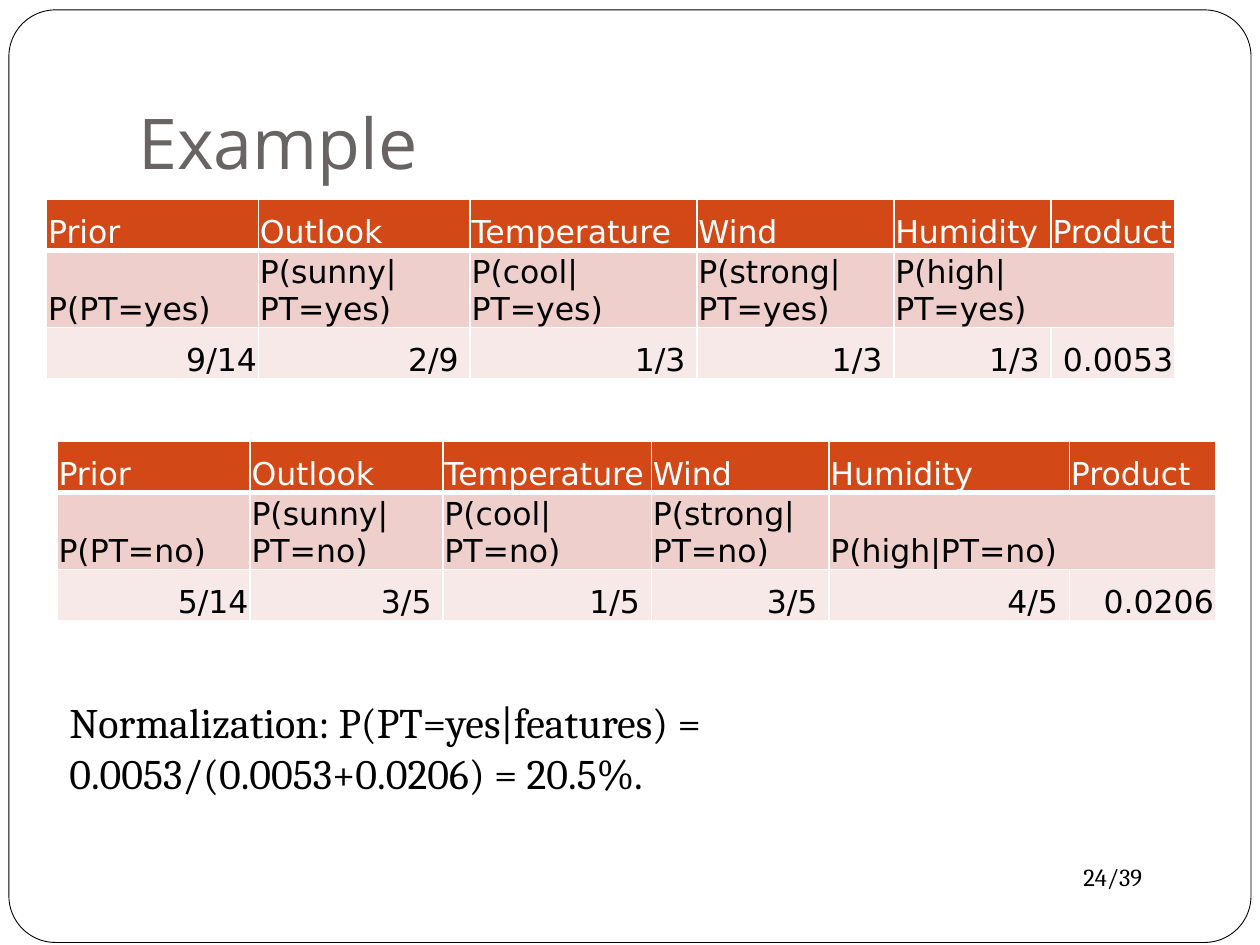
from lxml.etree import SubElement
from pptx import Presentation
from pptx.dml.color import RGBColor
from pptx.enum.shapes import MSO_SHAPE
from pptx.enum.text import MSO_ANCHOR, PP_ALIGN
from pptx.oxml.ns import qn
from pptx.util import Cm, Pt

WHITE = RGBColor(0xFF, 0xFF, 0xFF)
BLACK = RGBColor(0x00, 0x00, 0x00)
GREY = RGBColor(0x69, 0x64, 0x64)
ORANGE = RGBColor(0xD3, 0x48, 0x17)
ROSE = RGBColor(0xEF, 0xCF, 0xCC)
PALE_ROSE = RGBColor(0xF7, 0xE9, 0xE8)

HEADINGS = ["Prior", "Outlook", "Temperature", "Wind", "Humidity", "Product"]
ROW_HEIGHTS = [1.03, 1.5, 1.03]


def write(tf, text, font="Cambria", size=18, color=BLACK, align=PP_ALIGN.LEFT):
    """Fill a text frame: \\n starts a paragraph, \\v breaks a line."""
    tf.word_wrap = True
    for i, line in enumerate(text.split("\n")):
        p = tf.paragraphs[0] if i == 0 else tf.add_paragraph()
        p.text = line
        p.alignment = align
        for r in p.runs:
            r.font.name = font
            r.font.size = Pt(size)
            r.font.color.rgb = color


def add_text(s, text, left, top, width, height, anchor=MSO_ANCHOR.TOP, bottom=0.13, **fmt):
    tf = s.shapes.add_textbox(Cm(left), Cm(top), Cm(width), Cm(height)).text_frame
    tf.vertical_anchor = anchor
    tf.margin_bottom = Cm(bottom)
    write(tf, text, **fmt)


def add_frame(s):
    sp = s.shapes.add_shape(MSO_SHAPE.ROUNDED_RECTANGLE, Cm(0.18), Cm(0.2), Cm(25.04), Cm(18.8))
    sp.adjustments[0] = 0.05
    sp.shadow.inherit = False
    sp.fill.solid()
    sp.fill.fore_color.rgb = WHITE
    sp.line.color.rgb = BLACK
    sp.line.width = Pt(0.5)


def set_borders(cell, bottom):
    tcPr = cell._tc.get_or_add_tcPr()
    for i, (side, width) in enumerate([("L", 1), ("R", 1), ("T", 1), ("B", bottom)]):
        ln = tcPr.makeelement(qn(f"a:ln{side}"), {"w": str(Pt(width))})
        fill = SubElement(ln, qn("a:solidFill"))
        SubElement(fill, qn("a:srgbClr"), val=str(WHITE))
        tcPr.insert(i, ln)


def style_cell(cell, fill, bottom=1, right=0.03):
    cell.fill.solid()
    cell.fill.fore_color.rgb = fill
    cell.vertical_anchor = MSO_ANCHOR.BOTTOM
    cell.margin_left = cell.margin_top = Cm(0.03)
    cell.margin_right = Cm(right)
    cell.margin_bottom = Cm(0)
    set_borders(cell, bottom)


def add_probability_table(s, left, top, widths, conditions, values):
    table = s.shapes.add_table(3, len(widths), Cm(left), Cm(top),
                               Cm(sum(widths)), Cm(sum(ROW_HEIGHTS))).table
    for col, width in zip(table.columns, widths):
        col.width = Cm(width)
    for row, height in zip(table.rows, ROW_HEIGHTS):
        row.height = Cm(height)

    last = len(widths) - 1
    for c, heading in enumerate(HEADINGS):
        head, condition, value = (table.cell(r, c) for r in range(3))
        style_cell(head, ORANGE, bottom=3)
        style_cell(condition, ROSE)
        style_cell(value, PALE_ROSE, right=0.03 if c in (0, last) else 0.23)
        write(head.text_frame, heading, font="DejaVu Sans", color=WHITE)
        if c < last:
            write(condition.text_frame, conditions[c], font="DejaVu Sans")
        write(value.text_frame, values[c], font="DejaVu Sans", align=PP_ALIGN.RIGHT)
    table.cell(1, last - 1).merge(table.cell(1, last))


def main():
    prs = Presentation()
    prs.slide_width, prs.slide_height = Cm(25.4), Cm(19.05)
    s = prs.slides.add_slide(prs.slide_layouts[6])

    add_frame(s)
    add_text(s, "24/39", 21.59, 17.25, 2.54, 0.86, size=14)
    add_text(s, "Example", 2.54, 0.76, 21.59, 3.18, anchor=MSO_ANCHOR.BOTTOM,
             bottom=0.25, font="Open Sans", size=40, color=GREY)
    add_probability_table(
        s, 0.94, 4.02, [4.27, 4.27, 4.57, 3.97, 3.17, 2.49],
        ["P(PT=yes)", "P(sunny|PT=yes)", "P(cool|PT=yes)", "P(strong|PT=yes)",
         "P(high|\nPT=yes)"],
        ["9/14", "2/9", "1/3", "1/3", "1/3", "0.0053"])
    add_probability_table(
        s, 1.15, 8.9, [3.89, 3.89, 4.2, 3.58, 4.85, 2.94],
        ["P(PT=no)", "P(sunny|PT=no)", "P(cool|PT=no)", "P(strong|PT=no)",
         "P(high|PT=no)"],
        ["5/14", "3/5", "1/5", "3/5", "4/5", "0.0206"])
    add_text(s, "Normalization: P(PT=yes|features) =\v0.0053/(0.0053+0.0206) = 20.5%.",
             1.15, 13.92, 23.19, 2.31, size=24)

    prs.save("out.pptx")


if __name__ == "__main__":
    main()
